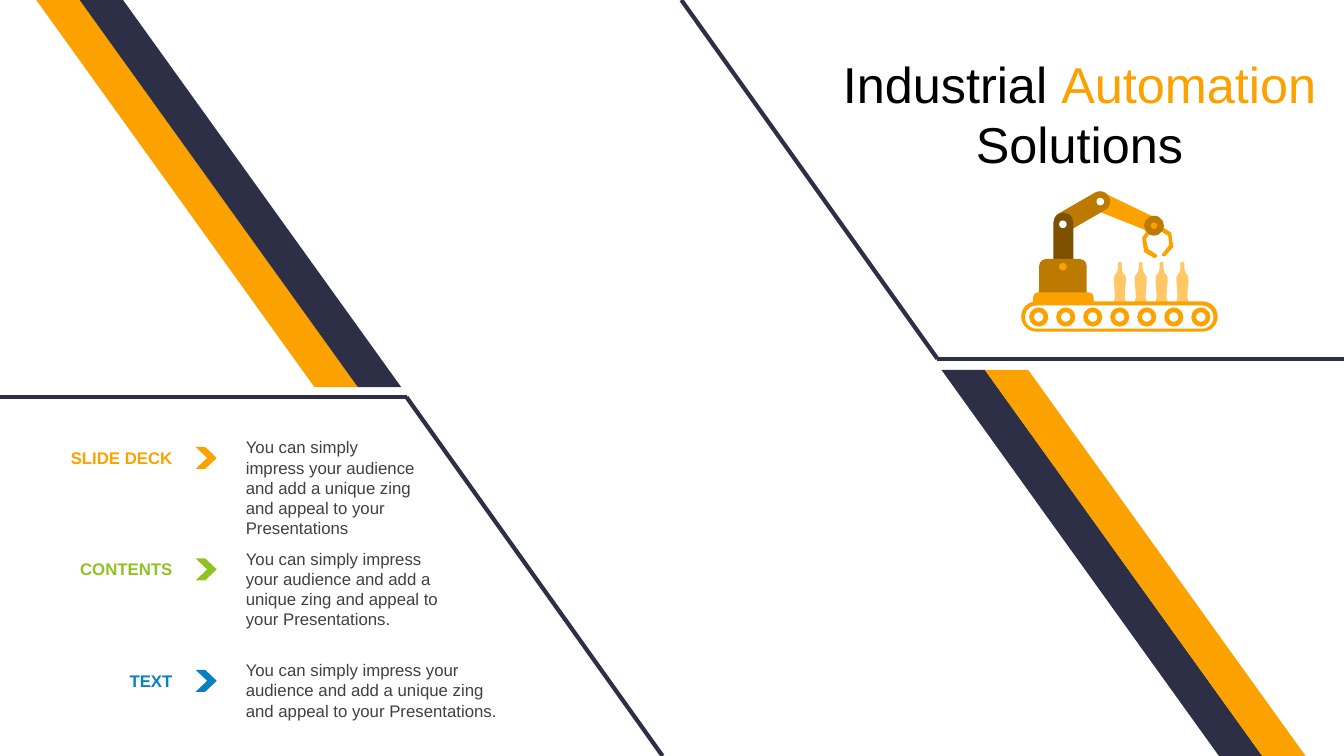
import dataclasses

import lxml.etree
import pptx
import pptx.dml.color
import pptx.enum.shapes
import pptx.enum.text
import pptx.util

Pt = pptx.util.Pt
RGB = pptx.dml.color.RGBColor.from_string
MSO = pptx.enum.shapes.MSO_SHAPE
ALIGN = pptx.enum.text.PP_ALIGN
ANCHOR = pptx.enum.text.MSO_ANCHOR


@dataclasses.dataclass(frozen=True)
class Theme:
    font: str = "Arial"
    title_size: int = 36
    body_size: int = 12
    navy: str = "2C2F45"
    orange: str = "FBA200"
    amber: str = "BC7A00"
    brown: str = "7E5100"
    glass: str = "FFC864"
    green: str = "90C221"
    blue: str = "0680C3"
    white: str = "FFFFFF"
    black: str = "000000"
    body: str = "404040"


theme = Theme()
prs = pptx.Presentation()
prs.slide_width, prs.slide_height = Pt(960), Pt(540)
s = prs.slides.add_slide(prs.slide_layouts[6])


def add_preset(kind, x, y, w, h, color, adj=None, rotation=0):
    """Add a filled preset shape without outline or shadow."""
    sp = s.shapes.add_shape(kind, Pt(x), Pt(y), Pt(w), Pt(h))
    sp.fill.solid()
    sp.fill.fore_color.rgb = RGB(color)
    sp.line.fill.background()
    sp.shadow.inherit = False
    sp.rotation = rotation
    if adj is not None:
        sp.adjustments[0] = adj
    return sp


def add_text(x, y, w, h, runs, size, align, bold=None, anchor=ANCHOR.TOP):
    """Add a one-paragraph text box; runs are (text, color) pairs."""
    tf = s.shapes.add_textbox(Pt(x), Pt(y), Pt(w), Pt(h)).text_frame
    tf.word_wrap = True
    tf.auto_size = pptx.enum.text.MSO_AUTO_SIZE.SHAPE_TO_FIT_TEXT
    tf.vertical_anchor = anchor
    p = tf.paragraphs[0]
    p.alignment = align
    for text, color in runs:
        r = p.add_run()
        r.text = text
        r.font.name = theme.font
        r.font.size = Pt(size)
        r.font.bold = bold
        r.font.color.rgb = RGB(color)


# Slanted bands
for x, y, color in [
    (672.5, 264.2, theme.navy),
    (703.4, 264.2, theme.orange),
    (25.9, 0, theme.orange),
    (56.9, 0, theme.navy),
]:
    band = add_preset(MSO.PARALLELOGRAM, x, y, 229.7, 276.5, color, 0.865)
    band.element.spPr.xfrm.set("flipH", "1")

# Frame lines: the lower left pair is the upper right pair turned by 180 degrees
frame = [(486.7, 0), (669.6, 256.3), (960, 256.3)]
turned = [(960 - x, 540 - y) for x, y in frame]
for start, corner, end in (frame, turned):
    for x, y in (start, end):
        line = s.shapes.add_connector(
            pptx.enum.shapes.MSO_CONNECTOR.STRAIGHT,
            Pt(x), Pt(y), Pt(corner[0]), Pt(corner[1]))
        line.line.color.rgb = RGB(theme.navy)
        line.line.width = Pt(3)
        lxml.etree.SubElement(
            line.element.spPr, pptx.oxml.ns.qn("a:effectLst"))

add_text(582.5, 33.8, 377.3, 94.3,
         [("Industrial ", theme.black), ("Automation", theme.orange),
          (" Solutions", theme.black)],
         theme.title_size, ALIGN.CENTER, anchor=ANCHOR.MIDDLE)

# Gripper claws and bottles
right_claw = [(830.2, 162), (836.6, 166.3), (838.1, 176.4), (832.3, 182.9),
              (830.2, 182.9), (830.2, 181.4), (835.2, 175), (834.5, 168.5),
              (828.7, 164.9)]
left_claw = [(820.1, 163.4), (815.8, 169.9), (817.2, 180), (824.4, 184.3),
             (826.6, 183.6), (826.6, 182.2), (820.1, 177.8), (818.6, 170.6),
             (822.2, 165.6)]
outlines = [(right_claw, theme.orange), (left_claw, theme.orange)]
bottle_half = [(0.7, 187.2), (1.4, 188), (1.4, 191.5), (1.8, 193.7),
               (2.4, 195.2), (3.6, 196.5), (4.3, 198), (4.3, 201),
               (3.6, 209.5), (3.5, 212.4), (4.2, 214.8), (3.6, 215.8)]
for i in range(4):
    center = 799.9 + 14.9 * i
    bottle = [(center + dx, y) for dx, y in bottle_half]
    bottle += [(center - dx, y) for dx, y in reversed(bottle_half)]
    outlines.append((bottle, theme.glass))
for points, color in outlines:
    start, *rest = [(Pt(x), Pt(y)) for x, y in points]
    fb = s.shapes.build_freeform(*start)
    fb.add_line_segments(rest)
    sp = fb.convert_to_shape()
    sp.fill.solid()
    sp.fill.fore_color.rgb = RGB(color)
    sp.line.fill.background()
    sp.shadow.inherit = False

# Robot arm and conveyor belt
for part in [
    (MSO.TRAPEZOID, 799.2, 130.3, 13.7, 45.4, theme.orange, 0.115, 113.7),
    (MSO.ROUNDED_RECTANGLE, 751, 144, 43.9, 14.4, theme.amber, 0.5, 330),
    (MSO.OVAL, 783.2, 141.3, 5.4, 5.4, theme.white),
    (MSO.ROUND_2_SAME_RECTANGLE, 752.4, 151.9, 14.4, 43.2, theme.brown, 0.5),
    (MSO.OVAL, 756.5, 157.5, 5.4, 5.4, theme.white),
    (MSO.DONUT, 817.2, 154.1, 14.2, 14.2, theme.amber, 0.33),
    (MSO.ROUND_2_SAME_RECTANGLE, 742.3, 185, 33.9, 27.4, theme.amber, 0.18),
    (MSO.ROUND_2_SAME_RECTANGLE, 738, 208.8, 43.2, 7.2, theme.orange, 0.5),
    (MSO.OVAL, 756.5, 187.8, 5.4, 5.4, theme.orange),
    (MSO.ROUNDED_RECTANGLE, 729.4, 215.3, 140.4, 21.6, theme.orange, 0.5),
    (MSO.ROUNDED_RECTANGLE, 732.2, 218.2, 134.6, 16.6, theme.white, 0.5),
]:
    add_preset(*part)
for i in range(7):
    add_preset(MSO.DONUT, 735.1 + 19.3 * i, 219.6, 13.7, 13.7, theme.orange)

# Labelled rows
pitch = 79.6
message = ("You can simply impress your audience and add a unique zing "
           "and appeal to your Presentations")
for i, (label, text, w, h, color) in enumerate([
    ("SLIDE DECK", message, 137.5, 80, theme.orange),
    ("CONTENTS", message + ".", 159.8, 65.5, theme.green),
    ("TEXT", message + ".", 198.7, 51, theme.blue),
]):
    dy = pitch * i
    add_text(10.8, 316.1 + dy, 119.5, 21.8, [(label, color)],
             theme.body_size, ALIGN.RIGHT, bold=True)
    add_text(168.5, 308.7 + dy, w, h, [(text, theme.body)],
             theme.body_size, ALIGN.LEFT)
    add_preset(MSO.CHEVRON, 139.7, 319.2 + dy, 15.1, 15.8, color, 0.549)

prs.save("out.pptx")
